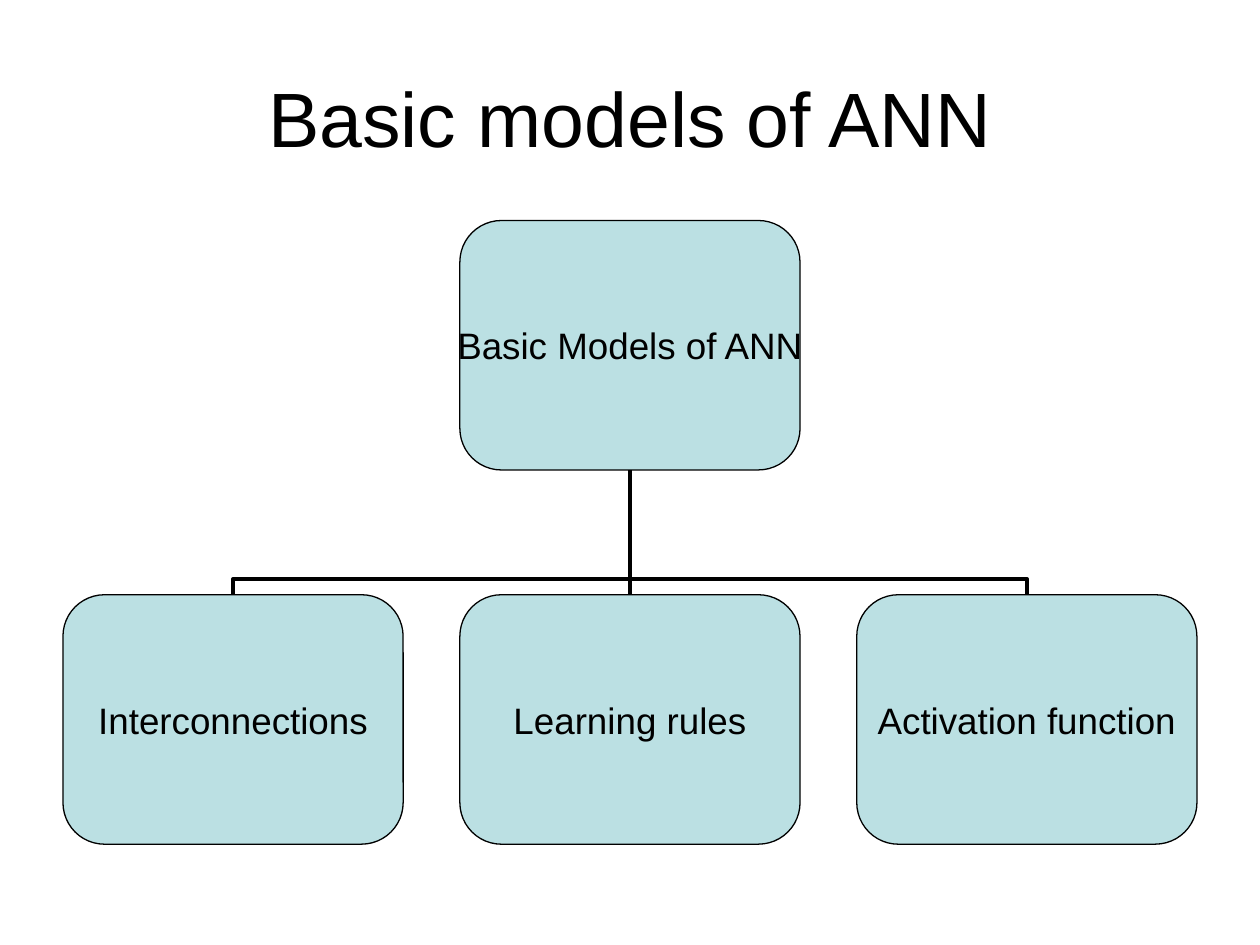
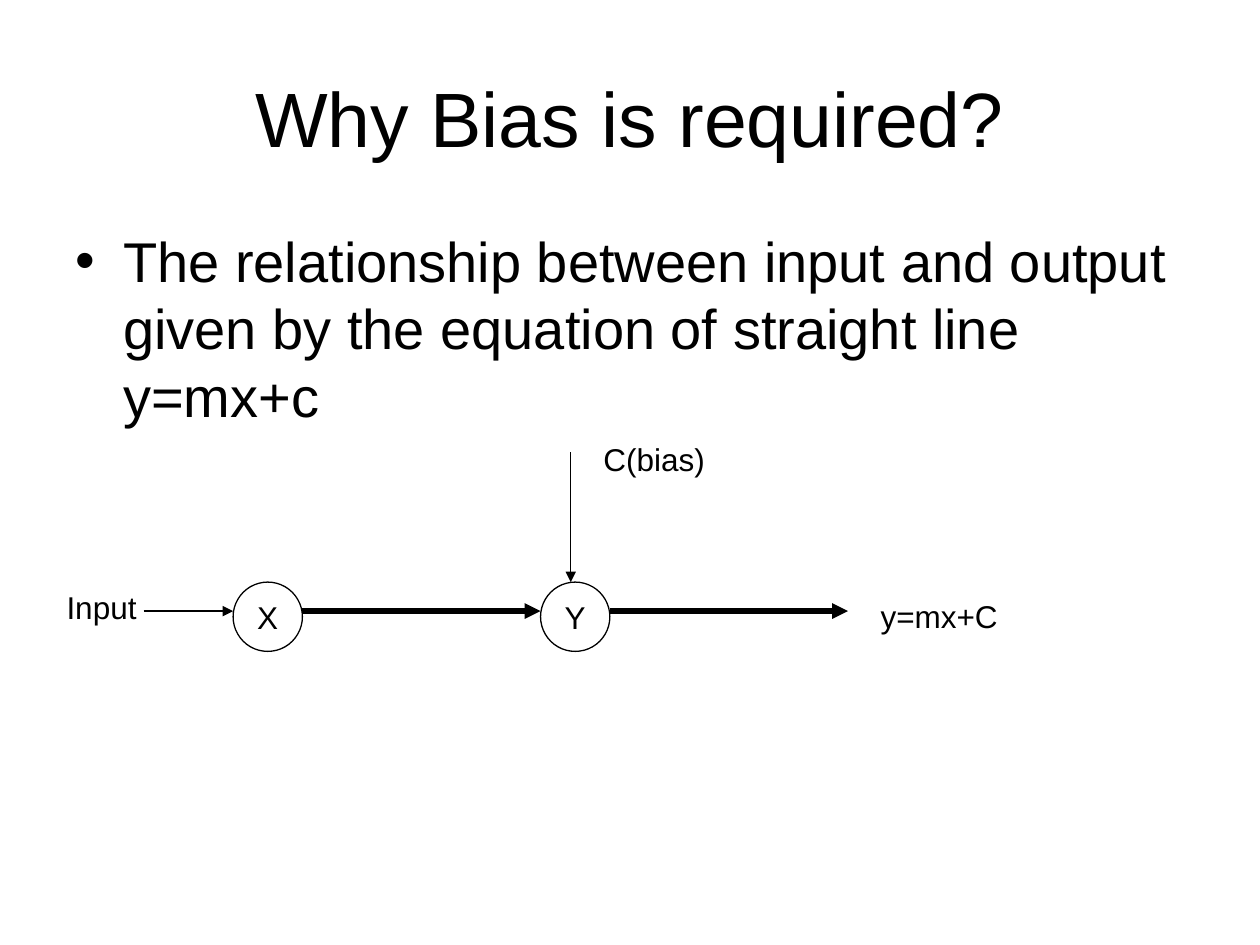
from dataclasses import dataclass

from lxml.etree import SubElement
from pptx import Presentation
from pptx.dml.color import RGBColor
from pptx.enum.shapes import MSO_CONNECTOR as Connector, MSO_SHAPE as Shape
from pptx.enum.text import MSO_ANCHOR as Anchor, MSO_AUTO_SIZE as AutoSize, PP_ALIGN as Align
from pptx.oxml.ns import qn
from pptx.util import Inches, Pt

BLACK = RGBColor(0x00, 0x00, 0x00)
WHITE = RGBColor(0xFF, 0xFF, 0xFF)
PALE_TEAL = RGBColor(0xBB, 0xE0, 0xE3)
FONT_NAME = "Arial"
THIN, THICK, TREE_LINE = 0.75, 3, 2.25

MARGIN = 0.5
TITLE_TOP, TITLE_HEIGHT = 0.3, 1.25
CONTENT_TOP, CONTENT_WIDTH = 1.75, 9

MODEL_WIDTH, MODEL_HEIGHT, MODEL_STEP = 2.7, 1.98, 3.15
CHILD_TOP = 4.72
MODELS = ["Interconnections", "Learning rules", "Activation function"]

NEURON_SIZE, NEURON_TOP, SIGNAL_Y = 0.55, 4.62, 4.85
BULLET_INDENT = 0.38


@dataclass
class Node:
    text: str
    left: float
    top: float
    width: float
    height: float
    kind: Shape
    size: float
    inset: tuple
    fill: RGBColor | None = None


@dataclass
class Label:
    text: str
    left: float
    top: float
    width: float
    height: float = 0.4
    size: float = 18


@dataclass
class Arrow:
    begin: tuple
    end: tuple
    weight: float


NEURONS = [
    Node(name, left, NEURON_TOP, NEURON_SIZE, NEURON_SIZE, Shape.OVAL, 18, (0.1, 0.05))
    for name, left in (("X", 1.85), ("Y", 4.29))
]
LABELS = [
    Label("Input", 0.43, 4.62, 1.1),
    Label("C(bias)", 4.69, 3.44, 1.26),
    Label("y=mx+C", 6.89, 4.69, 1.42),
]
ARROWS = [
    Arrow((1.14, SIGNAL_Y), (1.85, SIGNAL_Y), THIN),
    Arrow((2.4, SIGNAL_Y), (4.29, SIGNAL_Y), THICK),
    Arrow((4.84, SIGNAL_Y), (6.73, SIGNAL_Y), THICK),
    Arrow((4.53, 3.59), (4.53, NEURON_TOP), THIN),
]


def write_text(shape, text: str, size: float, align=Align.LEFT, **frame_format):
    frame = shape.text_frame
    frame.text = text
    frame_values = {"word_wrap": True, "auto_size": AutoSize.NONE} | frame_format
    for name, value in frame_values.items():
        setattr(frame, name, value)
    paragraph = frame.paragraphs[0]
    paragraph.alignment = align
    font = paragraph.runs[0].font
    for name, value in {"name": FONT_NAME, "size": Pt(size)}.items():
        setattr(font, name, value)
    font.color.rgb = BLACK
    return paragraph


def add_titled_slide(presentation, text: str):
    slide = presentation.slides.add_slide(presentation.slide_layouts[5])
    slide.background.fill.solid()
    slide.background.fill.fore_color.rgb = WHITE
    title = slide.shapes.title
    place = {"left": MARGIN, "top": TITLE_TOP, "width": CONTENT_WIDTH, "height": TITLE_HEIGHT}
    for name, value in place.items():
        setattr(title, name, Inches(value))
    write_text(title, text, 44, Align.CENTER, vertical_anchor=Anchor.MIDDLE)
    return slide


def add_node(slide, node: Node):
    place = map(Inches, (node.left, node.top, node.width, node.height))
    shape = slide.shapes.add_shape(node.kind, *place)
    shape.shadow.inherit = False
    if node.fill is None:
        shape.fill.background()
    else:
        shape.fill.solid()
        shape.fill.fore_color.rgb = node.fill
    shape.line.color.rgb = BLACK
    shape.line.width = Pt(THIN)
    side, edge = map(Inches, node.inset)
    write_text(shape, node.text, node.size, Align.CENTER, word_wrap=False,
               vertical_anchor=Anchor.MIDDLE, margin_left=side, margin_right=side,
               margin_top=edge, margin_bottom=edge)
    return shape


def add_label(slide, label: Label):
    place = map(Inches, (label.left, label.top, label.width, label.height))
    return write_text(slide.shapes.add_textbox(*place), label.text, label.size)


def add_line(slide, begin: tuple, end: tuple, weight: float, kind=Connector.STRAIGHT):
    connector = slide.shapes.add_connector(kind, *map(Inches, begin + end))
    connector.line.color.rgb = BLACK
    connector.line.width = Pt(weight)
    SubElement(connector._element.spPr, qn("a:effectLst"))
    return connector


def add_arrow(slide, arrow: Arrow) -> None:
    connector = add_line(slide, arrow.begin, arrow.end, arrow.weight)
    SubElement(connector.line._get_or_add_ln(), qn("a:tailEnd"), type="triangle")


def add_branch(slide, child_x: float, parent_x: float, parent_bottom: float) -> None:
    middle_x, middle_y = (child_x + parent_x) / 2, (CHILD_TOP + parent_bottom) / 2
    half_gap, half_span = (CHILD_TOP - parent_bottom) / 2, abs(child_x - parent_x) / 2
    side = 1 if child_x > parent_x else -1
    begin = (middle_x - side * half_gap, middle_y + half_span)
    end = (middle_x + side * half_gap, middle_y - half_span)
    connector = add_line(slide, begin, end, TREE_LINE, Connector.ELBOW)
    properties = connector._element.spPr
    properties.find(qn("a:xfrm")).set("rot", str((270 if side > 0 else 90) * 60000))
    guides = properties.find(qn("a:prstGeom")).get_or_add_avLst()
    SubElement(guides, qn("a:gd"), name="adj1", fmla="val 12600")


def add_bullet(paragraph) -> None:
    properties = paragraph._p.get_or_add_pPr()
    indent = Inches(BULLET_INDENT)
    properties.set("marL", str(indent))
    properties.set("indent", str(-indent))
    color = SubElement(properties, qn("a:buClr"))
    SubElement(color, qn("a:srgbClr"), val=str(BLACK))
    SubElement(properties, qn("a:buFont"), typeface=FONT_NAME)
    SubElement(properties, qn("a:buChar"), char="•")


def build_models_slide(presentation) -> None:
    slide = add_titled_slide(presentation, "Basic models of ANN")

    def add_model(text: str, column: int, top: float):
        left = MARGIN + column * MODEL_STEP
        return add_node(slide, Node(text, left, top, MODEL_WIDTH, MODEL_HEIGHT,
                                    Shape.ROUNDED_RECTANGLE, 21, (0, 0), PALE_TEAL))

    root = add_model("Basic Models of ANN", 1, CONTENT_TOP)
    root_x = MARGIN + MODEL_STEP + MODEL_WIDTH / 2
    root_bottom = CONTENT_TOP + MODEL_HEIGHT
    for column, text in enumerate(MODELS):
        child = add_model(text, column, CHILD_TOP)
        child_x = MARGIN + column * MODEL_STEP + MODEL_WIDTH / 2
        if column == 1:
            trunk = add_line(slide, (child_x, CHILD_TOP), (root_x, root_bottom), TREE_LINE)
            trunk.begin_connect(child, 0)
            trunk.end_connect(root, 2)
        else:
            add_branch(slide, child_x, root_x, root_bottom)


def build_bias_slide(presentation) -> None:
    slide = add_titled_slide(presentation, "Why Bias is required?")
    statement = Label(
        "The relationship between input and output given by the equation of straight line y=mx+c",
        MARGIN, CONTENT_TOP, CONTENT_WIDTH, 2, 32)
    add_bullet(add_label(slide, statement))
    for neuron in NEURONS:
        add_node(slide, neuron)
    for arrow in ARROWS:
        add_arrow(slide, arrow)
    for label in LABELS:
        add_label(slide, label)


def main() -> None:
    presentation = Presentation()
    presentation.slide_width = Inches(10)
    presentation.slide_height = Inches(7.5)
    build_models_slide(presentation)
    build_bias_slide(presentation)
    presentation.save("out.pptx")


if __name__ == "__main__":
    main()
